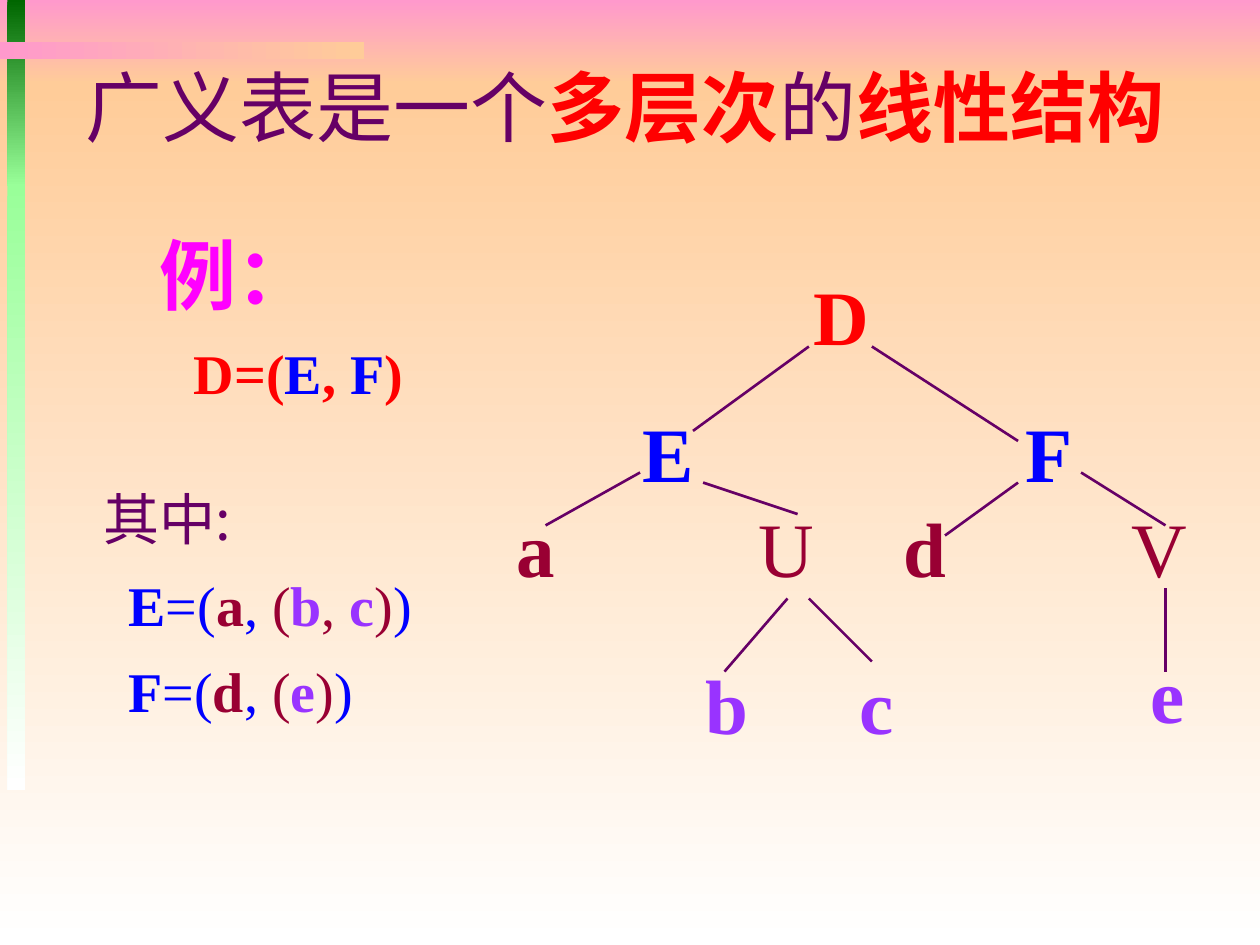
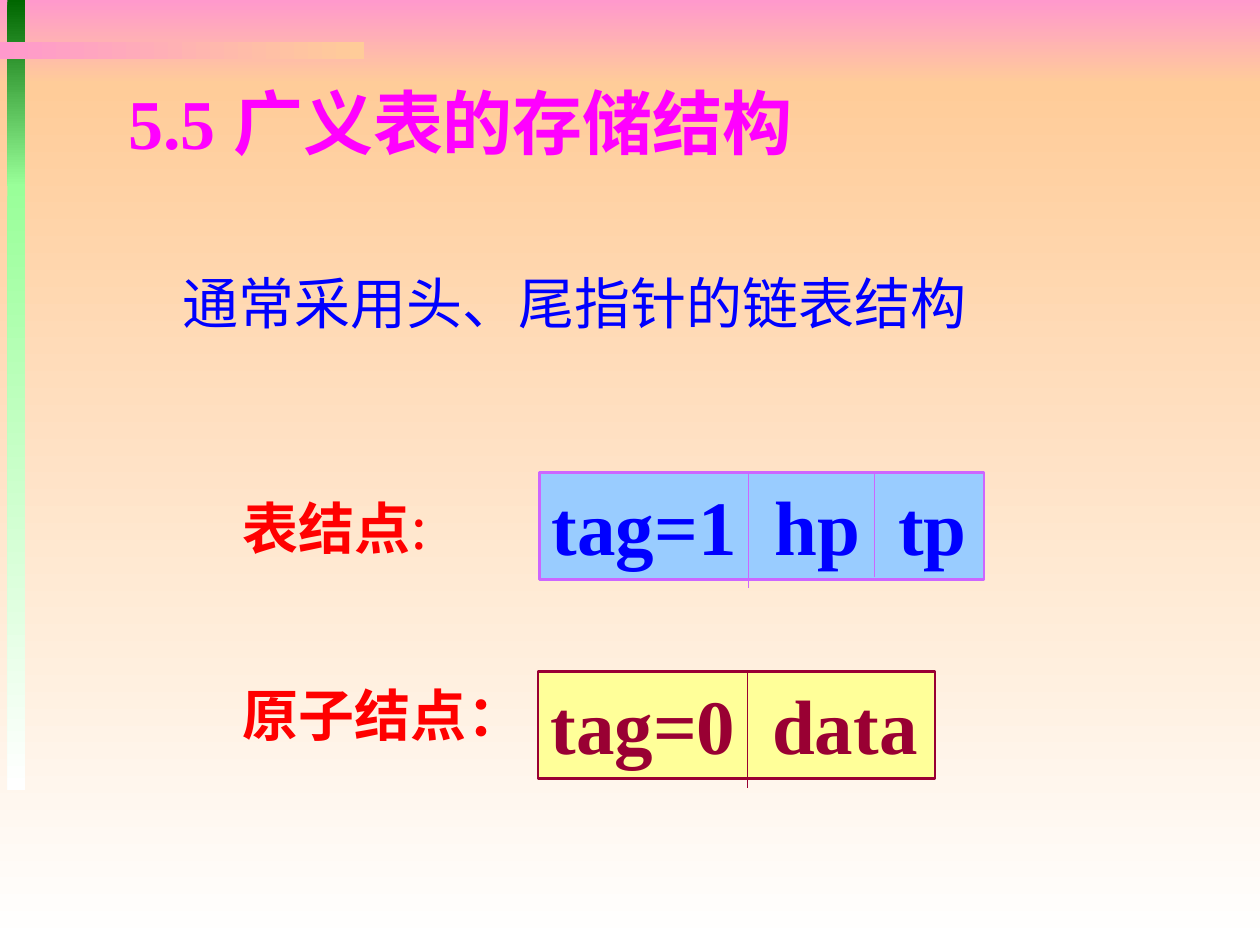
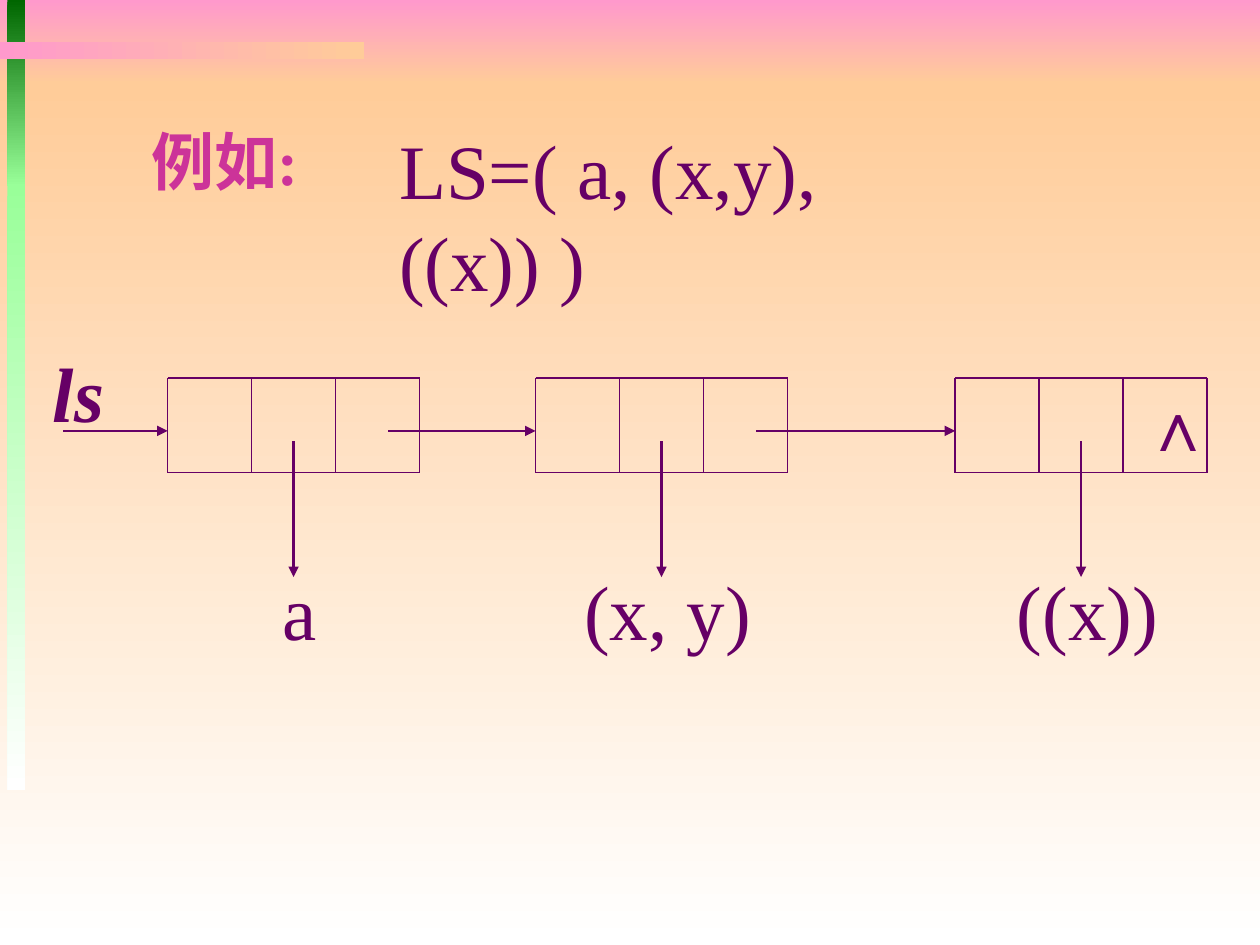
from lxml import etree
from pptx import Presentation
from pptx.dml.color import RGBColor
from pptx.enum.shapes import MSO_CONNECTOR, MSO_SHAPE
from pptx.enum.text import MSO_ANCHOR, MSO_AUTO_SIZE, PP_ALIGN
from pptx.oxml.ns import qn
from pptx.util import Inches, Pt

STRAIGHT = MSO_CONNECTOR.STRAIGHT
RECTANGLE = MSO_SHAPE.RECTANGLE
TOP = MSO_ANCHOR.TOP
GROW = MSO_AUTO_SIZE.SHAPE_TO_FIT_TEXT
LEFT, CENTER = PP_ALIGN.LEFT, PP_ALIGN.CENTER

TIMES, NOTO = "Times New Roman", "Noto Sans CJK SC"
COLORS = {
    "plum": "660066", "red": "FF0000", "blue": "0000FF", "magenta": "FF00FF",
    "maroon": "990033", "violet": "9933FF", "rose": "CC3399", "orchid": "CC66FF",
    "sky": "99CCFF", "lemon": "FFFF99", "pink": "FF99CC", "peach": "FFCC99",
    "forest": "006600", "mint": "99FF99", "white": "FFFFFF",
}
DOWN, ACROSS = 270, 0
BANDS = [
    ((0, 0, 10, 0.67), "pink", "peach", DOWN),
    ((0, 0.67, 10, 6.83), "peach", "white", DOWN),
    ((0.06, 0, 0.14, 1.48), "forest", "mint", DOWN),
    ((0.06, 1.46, 0.14, 4.81), "mint", "white", DOWN),
    ((0, 0.33, 2.89, 0.14), "pink", "peach", ACROSS),
]

TREE_TITLE = [("广义表是一个", "plum", False), ("多层次", "red", True),
              ("的", "plum", False), ("线性结构", "red", True)]
D_FORMULA = [("D=(", "red", True), ("E", "blue", True), (", ", "red", True),
             ("F", "blue", True), (")", "red", True)]
E_FORMULA = [("E", "blue", True), ("=(", "blue", False), ("a", "maroon", True),
             (", ", "blue", False), ("(", "maroon", False), ("b", "violet", True),
             (", ", "maroon", False), ("c", "violet", True), (")", "maroon", False),
             (")", "blue", False)]
F_FORMULA = [("F", "blue", True), ("=(", "blue", False), ("d", "maroon", True),
             (",", "blue", False), (" (", "maroon", False), ("e", "violet", True),
             (")", "maroon", False), (")", "blue", False)]
TREE_LABELS = [
    ("D", 6.36, 2.08, 0.64, "red", True),
    ("E", 5, 3.17, 0.61, "blue", True),
    ("F", 8.04, 3.17, 0.57, "blue", True),
    ("a", 4, 3.92, 0.51, "maroon", True),
    ("U", 5.92, 3.92, 0.65, "maroon", False),
    ("d", 7.07, 3.92, 0.54, "maroon", True),
    ("V", 8.88, 3.92, 0.65, "maroon", False),
    ("b", 5.5, 5.17, 0.54, "violet", True),
    ("c", 6.72, 5.17, 0.47, "violet", True),
    ("e", 9.03, 5.08, 0.47, "violet", True),
]
TREE_EDGES = [
    (6.42, 2.75, 5.5, 3.42), (6.92, 2.75, 8.08, 3.5),
    (5.08, 3.75, 4.33, 4.17), (5.58, 3.83, 6.33, 4.08),
    (6.25, 4.75, 5.75, 5.33), (6.42, 4.75, 6.92, 5.25),
    (8.08, 3.83, 7.5, 4.25), (8.58, 3.75, 9.25, 4.17),
    (9.25, 4.67, 9.25, 5.33),
]

NODE_RECORDS = [
    {"at": (4.28, 3.75, 3.53, 0.85), "text": "tag=1\thp\ttp", "tabs": (1.77, 2.75),
     "fill": "sky", "line": "orchid", "ink": "blue",
     "dividers": [(5.94, 4.67), (6.94, 4.58)]},
    {"at": (4.27, 5.33, 3.15, 0.85), "text": "tag=0\tdata", "tabs": (1.76,),
     "fill": "lemon", "line": "maroon", "ink": "maroon",
     "dividers": [(5.93, 6.25)]},
]

LIST_NODES = [(1.33, "a"), (4.25, "(x, y)"), (7.58, "((x))")]
NODE_TOP, NODE_BOTTOM = 3, 3.75
NODE_WIDTH, CELLS = 2, 3
LINK_Y = 3.42
LINK_START = 1.75


def rgb(name):
    return RGBColor.from_string(COLORS[name])


def add_rectangle(slide, at):
    shape = slide.shapes.add_shape(RECTANGLE, *map(Inches, at))
    shape.shadow.inherit = False
    return shape


def new_slide(presentation):
    slide = presentation.slides.add_slide(presentation.slide_layouts[6])
    for at, start, end, angle in BANDS:
        band = add_rectangle(slide, at)
        band.line.fill.background()
        band.fill.gradient()
        band.fill.gradient_angle = angle
        for stop, color in zip(band.fill.gradient_stops, (start, end)):
            stop.color.rgb = rgb(color)
    return slide


def para(runs, font=TIMES, before=0, indent=0, tabs=()):
    return {"runs": runs, "font": font, "before": before, "indent": indent, "tabs": tabs}


def fill_text(frame, paragraphs, size, align=LEFT, spacing=None):
    frame.vertical_anchor = TOP
    for index, content in enumerate(paragraphs):
        paragraph = frame.add_paragraph() if index else frame.paragraphs[0]
        paragraph.alignment = align
        if spacing:
            paragraph.line_spacing = spacing
        if content["before"]:
            paragraph.space_before = Pt(content["before"])
        properties = paragraph._p.get_or_add_pPr()
        if content["indent"]:
            properties.set("marL", str(Inches(content["indent"])))
        if content["tabs"]:
            tab_list = etree.SubElement(properties, qn("a:tabLst"))
            for position in content["tabs"]:
                etree.SubElement(tab_list, qn("a:tab"), pos=str(Inches(position)), algn="l")
        paragraph.font.size = Pt(size)
        paragraph.font.name = content["font"]
        defaults = properties.find(qn("a:defRPr"))
        etree.SubElement(defaults, qn("a:ea"), typeface=NOTO)
        for text, color, bold, *font in content["runs"]:
            run = paragraph.add_run()
            run.text = text
            run.font.color.rgb = rgb(color)
            run.font.bold = bold
            if font:
                run.font.name = font[0]


def add_text(slide, at, paragraphs, size, wrap=False, **options):
    box = slide.shapes.add_textbox(*map(Inches, at))
    box.text_frame.word_wrap = wrap
    box.text_frame.auto_size = GROW
    fill_text(box.text_frame, paragraphs, size, **options)
    return box


def add_line(slide, ends, color="plum", width=1.5, arrow=False):
    line = slide.shapes.add_connector(STRAIGHT, *map(Inches, ends))
    line.line.color.rgb = rgb(color)
    line.line.width = Pt(width)
    if arrow:
        etree.SubElement(line.line._get_or_add_ln(), qn("a:tailEnd"), type="triangle")
    etree.SubElement(line._element.spPr, qn("a:effectLst"))


def build_tree(presentation):
    slide = new_slide(presentation)
    add_text(slide, (0.58, 0.42, 8.79, 0.83), [para(TREE_TITLE)], 44)
    add_text(slide, (1.17, 1.76, 1.44, 0.84), [para([("例：", "magenta", True)], NOTO)], 44)
    add_text(slide, (1.44, 2.64, 1.88, 0.64), [para(D_FORMULA)], 32)
    add_text(slide, (0.72, 3.69, 2.71, 1.98), [
        para([("其中:", "plum", False)], NOTO),
        para(E_FORMULA, before=3, indent=0.2),
        para(F_FORMULA, before=3, indent=0.2),
    ], 32, spacing=1.2)
    for label, left, top, width, color, bold in TREE_LABELS:
        add_text(slide, (left, top, width, 0.83), [para([(label, color, bold)])], 44)
    for edge in TREE_EDGES:
        add_line(slide, edge)


def build_storage(presentation):
    slide = new_slide(presentation)
    heading = [("5.5 ", "magenta", True), ("广义表的存储结构", "magenta", True, NOTO)]
    add_text(slide, (0.92, 0.58, 5.56, 0.77), [para(heading)], 40, wrap=True)
    add_text(slide, (1.35, 2.08, 6.48, 0.64),
             [para([("通常采用头、尾指针的链表结构", "blue", False)], NOTO)], 32)
    add_text(slide, (1.83, 3.87, 2.45, 2.26), [
        para([("表结点", "red", True), (":", "red", False)], NOTO),
        para([("原子结点：", "red", True)], before=68),
    ], 32)
    for record in NODE_RECORDS:
        box = add_rectangle(slide, record["at"])
        box.fill.solid()
        box.fill.fore_color.rgb = rgb(record["fill"])
        box.line.color.rgb = rgb(record["line"])
        box.line.width = Pt(1.5)
        box.text_frame.word_wrap = True
        box.text_frame.margin_right = 0
        runs = [(record["text"], record["ink"], True)]
        fill_text(box.text_frame, [para(runs, tabs=record["tabs"])], 44)
        top = record["at"][1]
        for x, bottom in record["dividers"]:
            add_line(slide, (x, top, x, bottom), record["line"], 0.75)


def build_linked_list(presentation):
    slide = new_slide(presentation)
    add_text(slide, (1.1, 0.92, 1.38, 0.71), [para([("例如:", "rose", True)])], 36)
    add_text(slide, (3.07, 0.92, 5, 0.83),
             [para([("LS=( a, (x,y), ((x)) )", "plum", False)])], 44, wrap=True)
    link_start = 0.5
    for left, label in LIST_NODES:
        right = left + NODE_WIDTH
        middle = left + NODE_WIDTH / 2
        for y in (NODE_TOP, NODE_BOTTOM):
            add_line(slide, (left, y, right, y), width=0.75)
        for edge in range(CELLS + 1):
            x = left + edge * NODE_WIDTH / CELLS
            add_line(slide, (x, NODE_TOP, x, NODE_BOTTOM), width=0.75)
        add_line(slide, (link_start, LINK_Y, left, LINK_Y), arrow=True)
        add_line(slide, (middle, 3.5, middle, 4.58), arrow=True)
        add_text(slide, (middle - 0.75, 4.42, 1.6, 0.83),
                 [para([(label, "plum", False)])], 44, align=CENTER)
        link_start = left + LINK_START
    add_text(slide, (8.98, 2.98, 0.54, 0.77), [para([("∧", "plum", False)])], 40)
    pointer = add_text(slide, (0.32, 2.69, 0.61, 0.83), [para([("ls", "plum", True)])], 44)
    pointer.text_frame.paragraphs[0].font.italic = True


def main():
    presentation = Presentation()
    presentation.slide_width = Inches(10)
    presentation.slide_height = Inches(7.5)
    build_tree(presentation)
    build_storage(presentation)
    build_linked_list(presentation)
    presentation.save("out.pptx")


if __name__ == "__main__":
    main()
